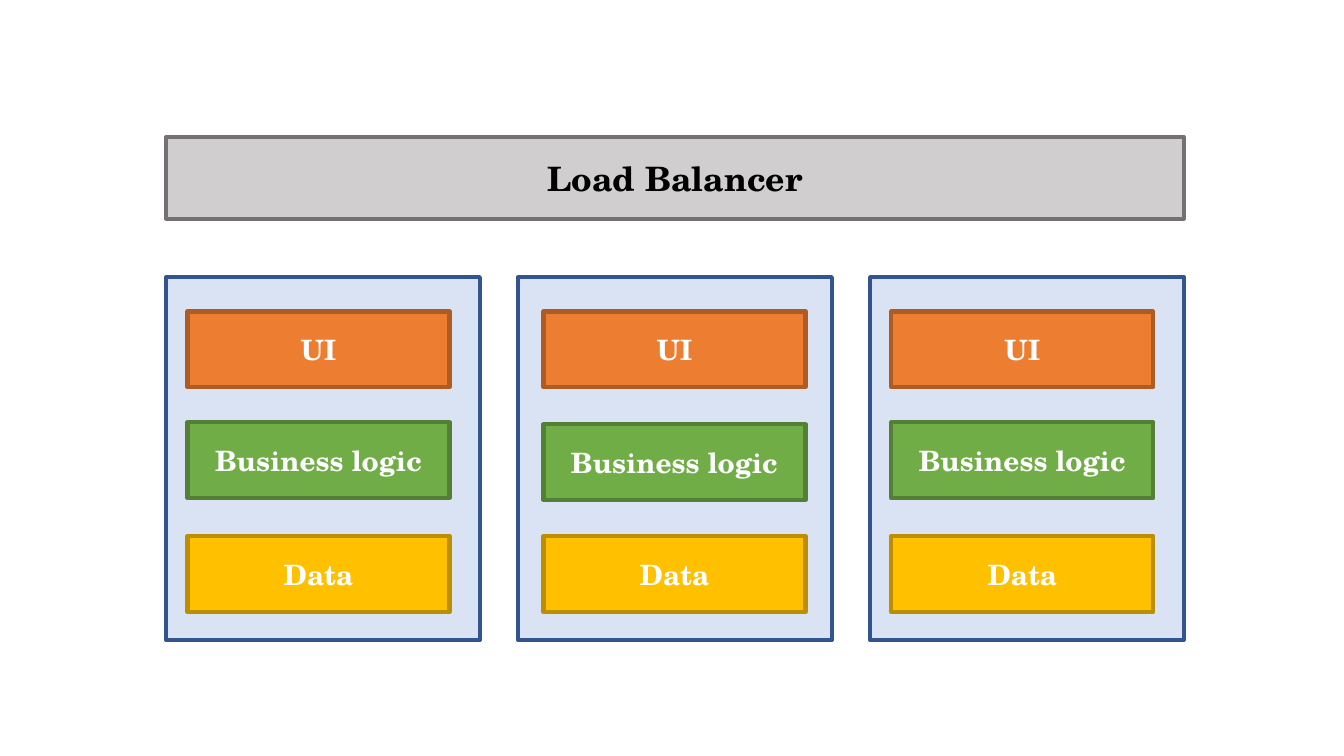
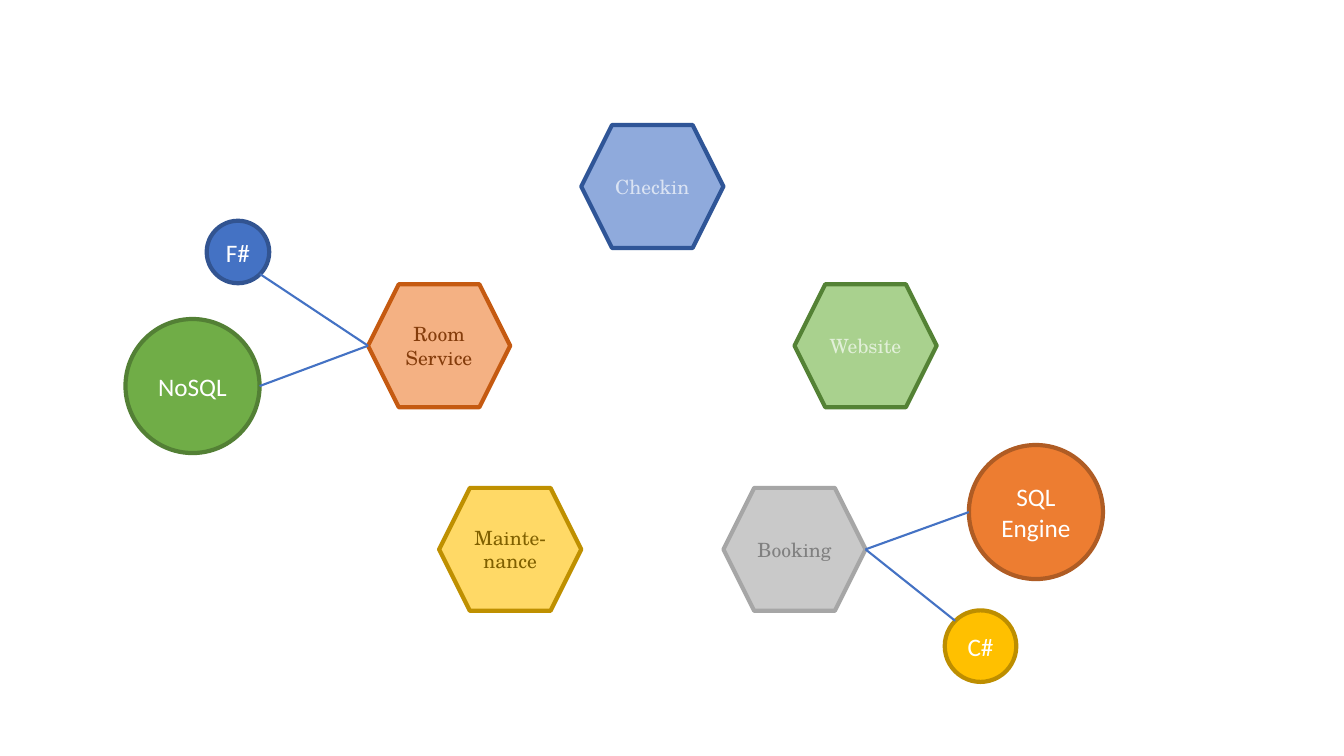
from math import cos, radians, sin

from lxml import etree
from pptx import Presentation
from pptx.dml.color import RGBColor as RGB
from pptx.enum.shapes import MSO_CONNECTOR as CONN, MSO_SHAPE as SHAPE
from pptx.enum.text import MSO_ANCHOR as ANCHOR, PP_ALIGN as ALIGN
from pptx.oxml.ns import qn
from pptx.util import Inches, Pt

SERIF, SANS = "TeX Gyre Schola", "Calibri"

COLORS = {
    "white": "FFFFFF", "black": "000000", "link": "4472C4",
    "balancer": "D0CECE", "balancer_line": "767171",
    "panel": "DAE3F3", "blue": "4472C4", "blue_line": "325491",
    "orange": "ED7D31", "orange_line": "AF5C24",
    "green": "70AD47", "green_line": "538035",
    "gold": "FFC000", "gold_line": "BD8E00",
    "checkin": "8FAADC", "checkin_line": "2F5597", "checkin_text": "DAE3F3",
    "room": "F4B183", "room_line": "C55A11", "room_text": "843C0B",
    "website": "A9D18E", "website_line": "548235", "website_text": "E2F0D9",
    "maint": "FFD966", "maint_line": "BF9000", "maint_text": "806000",
    "booking": "C9C9C9", "booking_line": "A6A6A6", "booking_text": "808080",
}

# Text formats, set on the font attribute by attribute
BALANCER_FONT = {"name": SERIF, "size": Pt(24), "bold": True}
LAYER_FONT = {"name": SERIF, "size": Pt(20), "bold": True}
SERVICE_FONT = {"name": SERIF, "size": Pt(14)}
TECH_FONT = {"name": SANS, "size": Pt(18)}


def rgb(name):
    return RGB.from_string(COLORS[name])


def add_box(shapes, kind, box, color, text="", font=None, text_color="white",
            inset=0.1):
    """Filled shape with its matching outline and centred text."""
    sp = shapes.add_shape(kind, *map(Inches, box))
    sp.shadow.inherit = False
    sp.fill.solid()
    sp.fill.fore_color.rgb = rgb(color)
    sp.line.color.rgb = rgb("blue_line" if color == "panel" else color + "_line")
    sp.line.width = Pt(3)
    if text:
        tf = sp.text_frame
        tf.word_wrap = True
        tf.vertical_anchor = ANCHOR.MIDDLE
        tf.margin_left = tf.margin_right = Inches(inset)
        p = tf.paragraphs[0]
        p.alignment = ALIGN.CENTER
        r = p.add_run()
        r.text = text
        for key, value in font.items():
            setattr(r.font, key, value)
        r.font.color.rgb = rgb(text_color)
    return sp


def add_link(shapes, start, end):
    line = shapes.add_connector(CONN.STRAIGHT, *map(Inches, (*start, *end)))
    line.line.color.rgb = rgb("link")
    line.line.width = Pt(1.5)
    etree.SubElement(line._element.spPr, qn("a:effectLst"))


# Slide 1: identical server instances behind a load balancer
def add_server(shapes, box, pad, logic_top):
    x, y, w, h = box
    group = shapes.add_group_shape().shapes
    add_box(group, SHAPE.RECTANGLE, box, "panel")
    layers = [("UI", "orange", 0.34), ("Business logic", "green", logic_top),
              ("Data", "gold", 2.57)]
    for text, color, top in layers:
        add_box(group, SHAPE.RECTANGLE, (x + pad, y + top, 2.6, 0.75),
                color, text, LAYER_FONT)


def build_balancer_slide(s, box):
    x, y, w, h = box
    server_w, server_h, gap = 3.11, 3.6, 0.38
    # The middle server's layers sit slightly off the others'
    for i, (pad, logic_top) in enumerate([(0.21, 1.44), (0.25, 1.46), (0.21, 1.44)]):
        left = x + i * (server_w + gap)
        add_server(s.shapes, (left, y + h - server_h, server_w, server_h),
                   pad, logic_top)
    add_box(s.shapes, SHAPE.RECTANGLE, (x, y, w, 0.81), "balancer",
            "Load Balancer", BALANCER_FONT, "black")


# Slide 2: a ring of services, some with their own technology
def add_technology(shapes, center, size, color, text, angle, port):
    """Circle joined to a service port from the given angle on its rim."""
    cx, cy = center
    rad = size / 2
    add_box(shapes, SHAPE.OVAL, (cx - rad, cy - rad, size, size),
            color, text, TECH_FONT, inset=0)
    rim = (cx + rad * cos(radians(angle)), cy + rad * sin(radians(angle)))
    add_link(shapes, rim, port)


def build_services_slide(s, center_x, top):
    hex_w, hex_h = 1.41, 1.22
    # Text, colour, offset from the middle in hexagon widths, drop from the top
    services = [
        ("Room Service", "room", -1.5, 1.58),
        ("Mainte-nance", "maint", -1, 3.6),
        ("Checkin", "checkin", 0, 0),
        ("Booking", "booking", 1, 3.6),
        ("Website", "website", 1.5, 1.58),
    ]
    ports = {}
    for text, color, step, drop in services:
        left, y = center_x + (step - 0.5) * hex_w, top + drop
        add_box(s.shapes, SHAPE.HEXAGON, (left, y, hex_w, hex_h), color, text,
                SERVICE_FONT, color + "_text")
        mid = y + hex_h / 2
        ports[color] = (left if step < 0 else left + hex_w, mid)

    # Text, colour, size, service, offset of the centre from its port, rim angle
    technologies = [
        ("F#", "blue", 0.62, "room", (-1.29, -0.93), 45),
        ("NoSQL", "green", 1.33, "room", (-1.74, 0.4), 0),
        ("C#", "gold", 0.71, "booking", (1.14, 0.96), 225),
        ("SQL Engine", "orange", 1.33, "booking", (1.69, -0.37), 180),
    ]
    for text, color, size, service, (dx, dy), angle in technologies:
        px, py = ports[service]
        add_technology(s.shapes, (px + dx, py + dy), size, color, text, angle,
                       (px, py))


def main():
    prs = Presentation()
    prs.slide_width, prs.slide_height = Inches(13.33), Inches(7.5)
    blank = prs.slide_layouts[6]
    build_balancer_slide(prs.slides.add_slide(blank), (1.65, 1.36, 10.09, 4.99))
    build_services_slide(prs.slides.add_slide(blank), 6.47, 1.24)
    prs.save("out.pptx")


if __name__ == "__main__":
    main()
